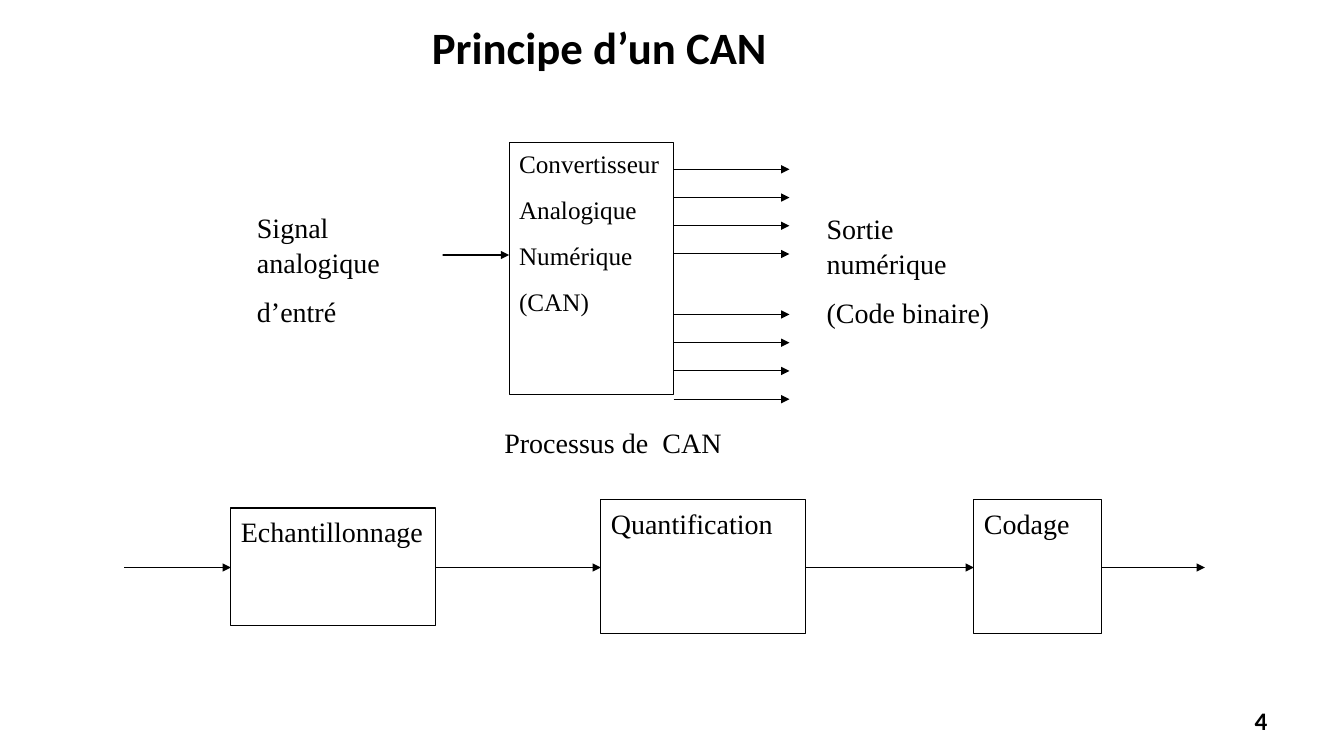
from lxml import etree
from pptx import Presentation
from pptx import util as u
from pptx.dml.color import RGBColor
from pptx.enum import shapes, text
from pptx.oxml.ns import qn

PX = 9144  # 100 px to the inch
COLORS = {"ink": "000000", "paper": "FFFFFF"}
SERIF, SANS = "Times New Roman", "Calibri"
LINE_WIDTH = u.Pt(0.75)


def px(*lengths):
    return [u.Emu(length * PX) for length in lengths]


def color(name):
    return RGBColor.from_string(COLORS[name])


def write(frame, lines, size, font, bold=False, align=text.PP_ALIGN.LEFT,
          anchor=text.MSO_ANCHOR.TOP, after=0, spacing=1.0):
    frame.word_wrap = True
    frame.auto_size = text.MSO_AUTO_SIZE.NONE
    frame.vertical_anchor = anchor
    for index, line in enumerate(lines):
        paragraph = frame.paragraphs[0] if index == 0 else frame.add_paragraph()
        paragraph.alignment = align
        paragraph.space_before = u.Pt(0)
        paragraph.space_after = u.Pt(after)
        paragraph.line_spacing = spacing
        run = paragraph.add_run()
        run.text = line
        run.font.size = u.Pt(size)
        run.font.name = font
        run.font.bold = bold
        run.font.color.rgb = color("ink")


def add_block(slide, box, lines, size=20, outlined=True):
    block = slide.shapes.add_shape(shapes.MSO_SHAPE.RECTANGLE, *px(*box))
    block.shadow.inherit = False
    block.fill.solid()
    block.fill.fore_color.rgb = color("paper")
    if outlined:
        block.line.color.rgb = color("ink")
        block.line.width = LINE_WIDTH
    else:
        block.line.fill.background()
    write(block.text_frame, lines, size, SERIF, after=10, spacing=1.05)


def add_arrow(slide, start, end, y):
    arrow = slide.shapes.add_connector(
        shapes.MSO_CONNECTOR.STRAIGHT, *px(start, y, end, y))
    arrow.line.color.rgb = color("ink")
    arrow.line.width = LINE_WIDTH
    etree.SubElement(arrow.line._get_or_add_ln(), qn("a:tailEnd"), type="triangle")
    etree.SubElement(arrow._element.spPr, qn("a:effectLst"))


def add_label(slide, box, label, size, font, align, bold=False):
    caption = slide.shapes.add_textbox(*px(*box))
    write(caption.text_frame, [label], size, font, bold, align,
          text.MSO_ANCHOR.MIDDLE)


def set_title(slide, box, heading):
    title = slide.shapes.title
    title.left, title.top, title.width, title.height = px(*box)
    write(title.text_frame, [heading], 32, SANS, True, text.PP_ALIGN.CENTER,
          text.MSO_ANCHOR.MIDDLE)


def add_converter(slide):
    add_block(slide, (505, 141, 163, 250),
              ["Convertisseur", "Analogique", "Numérique", "(CAN)"], size=18)
    add_arrow(slide, 381, 505, 253)
    # Output bits: two groups of four lines
    for first_bit in (168, 312):
        for bit in range(4):
            add_arrow(slide, 668, 783, first_bit + 28 * bit)
    add_block(slide, (245, 202, 194, 126), ["Signal analogique", "d’entré"],
              outlined=False)
    add_block(slide, (810, 203, 201, 133), ["Sortie numérique", "(Code binaire)"],
              outlined=False)


def add_process(slide):
    steps = [("Echantillonnage", 229, 203, 117),
             ("Quantification", 596, 203, 133),
             ("Codage", 966, 127, 133)]
    middle = 563
    flow_start = 123
    for step, left, width, height in steps:
        add_block(slide, (left, middle - (height + 1) // 2, width, height), [step])
        add_arrow(slide, flow_start, left, middle)
        flow_start = left + width
    add_arrow(slide, flow_start, 1195, middle)


def main():
    deck = Presentation()
    deck.slide_width, deck.slide_height = px(1333, 750)
    slide = deck.slides.add_slide(deck.slide_layouts[5])

    # Converter with its input and outputs
    add_converter(slide)

    # Headings
    set_title(slide, (375, 14, 439, 64), "Principe d’un CAN")
    add_label(slide, (487, 417, 242, 44), "Processus de  CAN", 20, SERIF,
              text.PP_ALIGN.CENTER)

    # Conversion steps
    add_process(slide)

    # Page number
    add_label(slide, (956, 695, 311, 40), "4", 18, SANS, text.PP_ALIGN.RIGHT, bold=True)

    deck.save("out.pptx")


if __name__ == "__main__":
    main()
